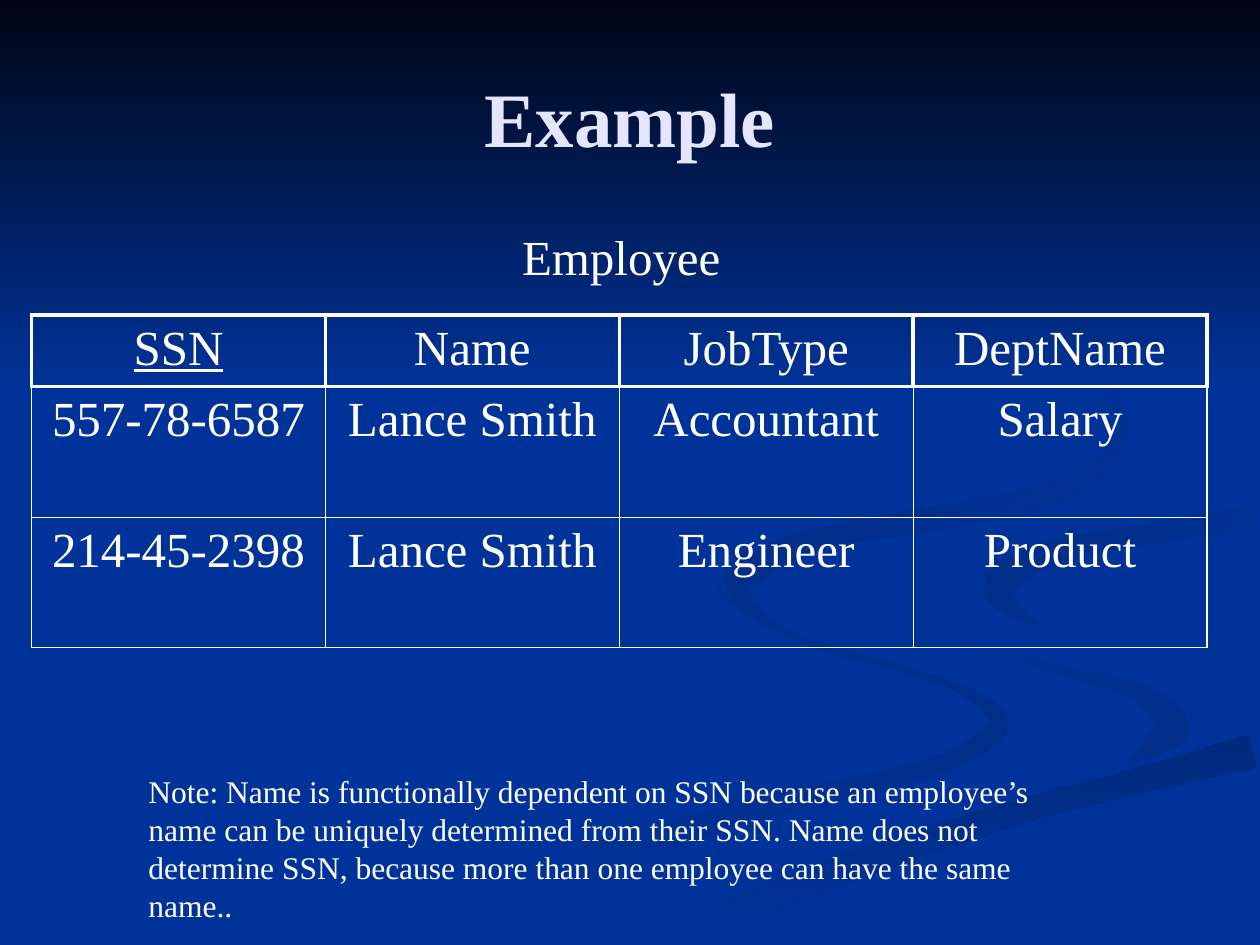
import math

from lxml import etree
from pptx import Presentation
from pptx import util as u
from pptx.dml.color import RGBColor
from pptx.enum import text
from pptx.oxml import ns

PX = 9144
FONT = "Times New Roman"
BLUE = RGBColor(0x00, 0x33, 0x99)
NIGHT = RGBColor(0x00, 0x05, 0x14)
DUSK = RGBColor(0x00, 0x2E, 0x8B)
DEEP = RGBColor(0x00, 0x2A, 0x7D)
SHADE = RGBColor(0x00, 0x2D, 0x86)
TINT = RGBColor(0x00, 0x2B, 0x82)
LILAC = RGBColor(0xE5, 0xE5, 0xFF)
WHITE = RGBColor(0xFF, 0xFF, 0xFF)

STEPS = 8
THICK, RIM, THIN = 2.21, 1.08, 0.45

# Each knot of a spine is (x, y, thickness).
BAND = [(990, 396, 15), (920, 408, 15), (815, 425, 19), (753, 464, 56),
        (800, 500, 26), (900, 530, 20), (971, 565, 50), (870, 615, 8),
        (743, 648, 10), (630, 687, 11), (500, 741, 14)]
TAIL = [(575, 460, 1), (576, 475, 4), (640, 509, 5), (715, 531, 5),
        (765, 549, 6), (792, 575, 15), (742, 608, 14), (600, 643, 18),
        (499, 674, 25), (417, 705, 28), (338, 735, 28)]
HOOK = [(724, 464, 1), (732, 484, 3), (770, 510, 7), (850, 534, 8),
        (905, 550, 15), (930, 576, 26), (915, 592, 16), (894, 605, 1)]
ROAD = [(994, 596, 27), (903, 620, 20), (821, 641, 19), (695, 681, 22),
        (614, 712, 23), (545, 737, 20)]
BEND = [(994, 411, 17), (898, 426, 16), (825, 443, 20), (793, 465, 24),
        (805, 485, 11), (824, 495, 1)]
LOOP = [(765, 234, 1), (808, 256, 4), (862, 289, 5), (888, 322, 5),
        (890, 346, 8), (868, 374, 15), (825, 395, 17), (739, 412, 18),
        (649, 428, 16), (594, 452, 24), (586, 467, 15), (600, 487, 9),
        (621, 500, 1)]
SWIRLS = [
    (BAND, BLUE, BLUE, 0), (TAIL, BLUE, DUSK, 0), (HOOK, BLUE, DUSK, 45),
    (ROAD, DEEP, BLUE, 90), (BEND, SHADE, BLUE, 45), (LOOP, TINT, BLUE, 45)]

ROWS = [
    ["SSN", "Name", "JobType", "DeptName"],
    ["557-78-6587", "Lance Smith", "Accountant", "Salary"],
    ["214-45-2398", "Lance Smith", "Engineer", "Product"]]
NOTE = (
    "Note: Name is functionally dependent on SSN because an employee’s name "
    "can be uniquely determined from their SSN. Name does not determine SSN, "
    "because more than one employee can have the same name..")


def blend(a, b, c, d, t):
    return (2 * b + (c - a) * t + (2 * a - 5 * b + 4 * c - d) * t ** 2
            + (3 * b - a - 3 * c + d) * t ** 3) / 2


def smooth(knots):
    ends = [knots[0], *knots, knots[-1]]
    curve = [
        tuple(blend(*axis, step / STEPS) for axis in zip(*ends[i:i + 4]))
        for i in range(len(knots) - 1) for step in range(STEPS)]
    return curve + [knots[-1]]


def outline(spine):
    curve = smooth(spine)
    near, far = [], []
    for i, (x, y, thick) in enumerate(curve):
        back, ahead = curve[max(i - 1, 0)], curve[min(i + 1, len(curve) - 1)]
        dx, dy = ahead[0] - back[0], ahead[1] - back[1]
        half = thick / 2 / math.hypot(dx, dy)
        near.append((x - dy * half, y + dx * half))
        far.append((x + dy * half, y - dx * half))
    return near + far[::-1]


class Deck:
    def __init__(self, wide, high):
        self.prs = Presentation()
        self.prs.slide_width, self.prs.slide_height = wide * PX, high * PX
        self.slide = self.prs.slides.add_slide(self.prs.slide_layouts[5])
        self.shapes = self.slide.shapes
        fill = self.slide.background.fill
        fill.solid()
        fill.fore_color.rgb = BLUE

    def style(self, para, size, color=WHITE, center=True):
        para.font.name = FONT
        para.font.size = u.Pt(size)
        para.font.color.rgb = color
        para.alignment = text.PP_ALIGN.CENTER if center else text.PP_ALIGN.LEFT

    def area(self, points, start, end, angle):
        pen = self.shapes.build_freeform(*points[0], scale=PX)
        pen.add_line_segments(points[1:], close=True)
        shape = pen.convert_to_shape()
        shape.shadow.inherit = False
        shape.line.fill.background()
        if start == end:
            shape.fill.solid()
            shape.fill.fore_color.rgb = start
            return
        shape.fill.gradient()
        shape.fill.gradient_angle = -angle % 360
        for stop, color in zip(shape.fill.gradient_stops, (start, end)):
            stop.color.rgb = color

    def swirl(self, spine, start, end, angle):
        self.area(outline(spine), start, end, angle)

    def panel(self, wide, high, start, end):
        corners = [(0, 0), (0, high), (wide, high), (wide, 0)]
        self.area(corners, start, end, 90)

    def title(self, words, x, y, w, h):
        shape = self.shapes.title
        self.shapes._spTree.append(shape._element)
        shape.left, shape.top, shape.width, shape.height = (
            n * PX for n in (x, y, w, h))
        frame = shape.text_frame
        frame.text = words
        frame.vertical_anchor = text.MSO_ANCHOR.MIDDLE
        para = frame.paragraphs[0]
        self.style(para, 44, LILAC)
        para.font.bold = True

    def label(self, words, x, y, w, h, size, center=False, left=10):
        box = self.shapes.add_textbox(*(n * PX for n in (x, y, w, h)))
        frame = box.text_frame
        frame.word_wrap = True
        frame.margin_left = left * PX
        frame.text = words
        self.style(frame.paragraphs[0], size, center=center)

    def edge(self, cell, side, width):
        props = cell._tc.get_or_add_tcPr()
        line = etree.SubElement(
            props, ns.qn("a:" + side), w=str(int(u.Pt(width))))
        fill = etree.SubElement(line, ns.qn("a:solidFill"))
        etree.SubElement(fill, ns.qn("a:srgbClr"), val=str(WHITE))

    def frame(self, cell, row, col, last, end):
        rims = {"lnL": col == 0, "lnR": col == end,
                "lnT": False, "lnB": row == last}
        for side, rim in rims.items():
            head = row == 0 or (row == 1 and side == "lnT")
            self.edge(cell, side, THICK if head else RIM if rim else THIN)

    def table(self, rows, x, y, wide, highs):
        count = len(rows[0])
        grid = self.shapes.add_table(
            len(rows), count, x * PX, y * PX, wide * PX, sum(highs) * PX).table
        grid.first_row = grid.horz_banding = False
        for col in grid.columns:
            col.width = wide * PX // count
        for r, row in enumerate(rows):
            grid.rows[r].height = highs[r] * PX
            for c, words in enumerate(row):
                cell = grid.cell(r, c)
                cell.text = words
                para = cell.text_frame.paragraphs[0]
                self.style(para, 28)
                para.font.underline = words == "SSN"
                self.frame(cell, r, c, len(rows) - 1, count - 1)
                cell.fill.background()


def main():
    deck = Deck(1000, 750)
    for swirl in SWIRLS:
        deck.swirl(*swirl)
    deck.panel(1000, 308, NIGHT, BLUE)
    deck.title("Example", 50, 30, 900, 125)
    deck.label("Employee", 0, 175, 958, 92, 28, center=True, left=38)
    deck.table(ROWS, 25, 250, 933, [57, 104, 103])
    deck.label(NOTE, 108, 608, 775, 130, 18)
    deck.prs.save("out.pptx")


if __name__ == "__main__":
    main()
